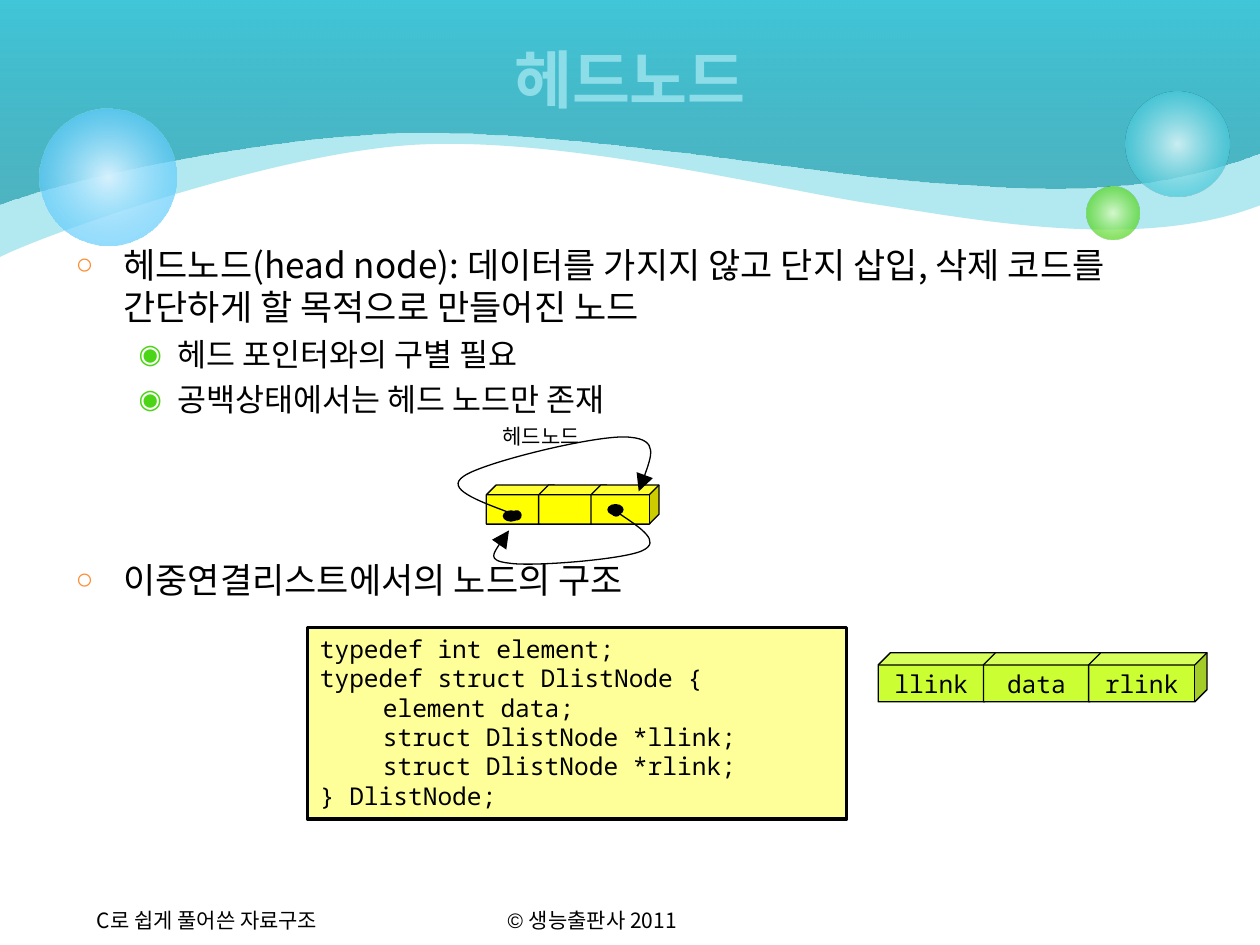
from dataclasses import dataclass

from lxml.etree import SubElement
from pptx import Presentation
from pptx.dml.color import RGBColor
from pptx.enum.shapes import MSO_SHAPE
from pptx.enum.text import MSO_ANCHOR, MSO_AUTO_SIZE, PP_ALIGN
from pptx.oxml.ns import qn
from pptx.util import Inches, Pt

# The slide is a grid of 1000 columns by 750 rows of square cells.
CELL = Inches(0.01)
COLUMNS, ROWS = 1000, 750
KOREAN, LATIN, MONO = "Noto Sans CJK KR", "Arial", "Noto Sans Mono"
BLACK, AQUA = "000000", "40C6D8"


@dataclass
class Box:
    left: float
    top: float
    width: float
    height: float

    def inner(self, left, top, width, height):
        return Box(self.left + left, self.top + top, width, height)

    def lengths(self):
        return [int(cells * CELL) for cells in (self.left, self.top, self.width, self.height)]


def color(hex_text):
    return RGBColor.from_string(hex_text)


def add_element(parent, tag, **attributes):
    child = SubElement(parent, qn(tag))
    for name, value in attributes.items():
        child.set(name, str(value))
    return child


def paint(shape, fill=None, line=None, width=0.75):
    shape.shadow.inherit = False
    if fill:
        shape.fill.solid()
        shape.fill.fore_color.rgb = color(fill)
    else:
        shape.fill.background()
    if line:
        shape.line.color.rgb = color(line)
        shape.line.width = Pt(width)
    else:
        shape.line.fill.background()


def paint_gradient(shape, stops, angle=None):
    """Fill with (position, colour, opacity) stops, radial when no angle is given."""
    paint(shape)
    properties = shape._element.spPr
    gradient = add_element(properties, "a:gradFill", rotWithShape=1)
    stop_list = add_element(gradient, "a:gsLst")
    for position, hex_text, opacity in stops:
        stop = add_element(stop_list, "a:gs", pos=position * 1000)
        add_element(add_element(stop, "a:srgbClr", val=hex_text), "a:alpha", val=opacity * 1000)
    if angle is None:
        center = add_element(gradient, "a:path", path="circle")
        add_element(center, "a:fillToRect", l=50000, t=50000, r=50000, b=50000)
    else:
        add_element(gradient, "a:lin", ang=angle * 60000, scaled=0)
    properties.replace(properties.find(qn("a:noFill")), gradient)


def add_run(paragraph, text, size, font=KOREAN, fill=BLACK, bold=False):
    run = paragraph.add_run()
    run.text = text
    run.font.size = Pt(size)
    run.font.bold = bold
    run.font.name = font
    run.font.color.rgb = color(fill)
    add_element(run.font._element, "a:ea", typeface=font)


def add_label(shapes, box, runs):
    frame = shapes.add_textbox(*box.lengths()).text_frame
    frame.word_wrap = False
    for text, font in runs:
        add_run(frame.paragraphs[0], text, 12, font)


def add_curve(shapes, box, start, curves, corners=()):
    """Draw cubic curves from start, then straight edges to any corners, which close the outline."""
    points = [point for curve in curves for point in curve]
    builder = shapes.build_freeform(*start, scale=CELL)
    builder.add_line_segments(points + list(corners), close=bool(corners))
    shape = builder.convert_to_shape(*box.lengths()[:2])
    edges = list(shape._element.iter(qn("a:lnTo")))
    for index in range(0, len(points), 3):
        first, second, third = edges[index:index + 3]
        first.tag = qn("a:cubicBezTo")
        for edge in (second, third):
            first.append(edge[0])
            edge.getparent().remove(edge)
    return shape


def add_backdrop(shapes, box):
    corners = [(box.width, 0), (0, 0)]
    back = add_curve(shapes, box, (0, 204), [
        [(33, 187), (214, 122), (328, 115)],
        [(443, 108), (606, 148), (687, 161)],
        [(768, 173), (902, 201), (1000, 163)]], corners)
    paint(back, AQUA)
    add_element(back._element.spPr.find(qn("a:solidFill"))[0], "a:alpha", val=40000)
    front = add_curve(shapes, box, (0, 162), [
        [(45, 144), (203, 108), (326, 105)],
        [(449, 102), (658, 139), (737, 144)],
        [(816, 149), (902, 159), (1000, 121)]], corners)
    paint_gradient(front, [(0, "249EAE", 69), (100, AQUA, 100)], 270)

    bubbles = [
        (893, 73, 83, [(0, "D9F4F7", 90), (76, AQUA, 70)]),
        (862, 148, 42, [(0, "DAFACD", 90), (76, "4CD416", 70)]),
        (31, 86, 109, [(0, "D6F2FE", 100), (100, "33BDFB", 54)])]
    for left, top, size, stops in bubbles:
        bubble = shapes.add_shape(MSO_SHAPE.OVAL, *box.inner(left, top, size, size).lengths())
        paint_gradient(bubble, stops)


def add_footer(shapes, box):
    add_label(shapes, box.inner(0, 0, 215, 30), [("C로 쉽게 풀어쓴 자료구조", KOREAN)])
    add_label(shapes, box.inner(326, 0, 173, 30), [("© ", LATIN), ("생능출판사 2011", KOREAN)])


def place_placeholder(slide, placeholder, box):
    """Set the placeholder's box and bring it in front of the backdrop."""
    placeholder.left, placeholder.top, placeholder.width, placeholder.height = box.lengths()
    slide.shapes._spTree.append(placeholder._element)
    placeholder.text_frame.auto_size = MSO_AUTO_SIZE.NONE
    return placeholder.text_frame


def fill_title(slide, box):
    frame = place_placeholder(slide, slide.shapes.title, box)
    frame.vertical_anchor = MSO_ANCHOR.MIDDLE
    frame.paragraphs[0].alignment = PP_ALIGN.CENTER
    add_run(frame.paragraphs[0], "헤드노드", 36, fill="8CDDE8", bold=True)


def fill_body(slide, box):
    frame = place_placeholder(slide, slide.placeholders[1], box)
    # size, line pitch, left margin, hanging indent, bullet, bullet colour
    styles = [(20, 24, 0.38, 0.38, "○", "FE8C2E"), (18, 22, 0.81, 0.31, "◉", "4CD416")]
    items = [
        (0, 0, "헤드노드(head node): 데이터를 가지지 않고 단지 삽입, 삭제 코드를 간단하게 할 목적으로 만들어진 노드"),
        (1, 4, "헤드 포인터와의 구별 필요"),
        (1, 4, "공백상태에서는 헤드 노드만 존재"),
        (0, 80, "이중연결리스트에서의 노드의 구조")]
    for index, (level, space, text) in enumerate(items):
        size, pitch, margin, hanging, bullet, bullet_color = styles[level]
        paragraph = frame.add_paragraph() if index else frame.paragraphs[0]
        paragraph.level = level
        paragraph.space_before = Pt(space)
        paragraph.line_spacing = Pt(pitch)
        properties = paragraph._p.get_or_add_pPr()
        properties.set("marL", str(Inches(margin)))
        properties.set("indent", str(-Inches(hanging)))
        add_element(add_element(properties, "a:buClr"), "a:srgbClr", val=bullet_color)
        add_element(properties, "a:buSzPct", val=85000)
        add_element(properties, "a:buChar", char=bullet)
        add_run(paragraph, text, size)


def add_node(shapes, box, step, fill, labels):
    """Draw one cube per label; neighbours overlap by their slanted sides."""
    for index, label in enumerate(labels):
        cell = box.inner(index * step, 0, box.width - 2 * step, box.height)
        cube = shapes.add_shape(MSO_SHAPE.CUBE, *cell.lengths())
        paint(cube, fill, BLACK)
        if label:
            cube.text_frame.vertical_anchor = MSO_ANCHOR.MIDDLE
            cube.text_frame.paragraphs[0].alignment = PP_ALIGN.CENTER
            add_run(cube.text_frame.paragraphs[0], label, 14, MONO)


def add_head_node(shapes, box):
    add_node(shapes, box.inner(33, 54, 137, 31), 41.5, "FFFF00", [""] * 3)
    for left, top in [(129, 69), (46, 74)]:
        dot = shapes.add_shape(MSO_SHAPE.OVAL, *box.inner(left, top, 13, 9).lengths())
        paint(dot, BLACK)
    add_label(shapes, box.inner(36, 0, 87, 30), [("헤드노드", MONO)])
    loops = [
        ((57, 78), [[(28, 67), (0, 57), (15, 47)],
                    [(30, 36), (124, 13), (147, 16)],
                    [(170, 18), (162, 38), (154, 59)]]),
        ((136, 75), [[(154, 87), (172, 99), (157, 106)],
                     [(143, 113), (69, 119), (51, 116)],
                     [(33, 114), (42, 102), (51, 90)]])]
    for start, curves in loops:
        loop = add_curve(shapes, box, start, curves)
        paint(loop, line=BLACK)
        line = loop.line._get_or_add_ln()
        add_element(line, "a:headEnd", type="oval")
        add_element(line, "a:tailEnd", type="triangle", w="lg", len="lg")


def add_code(shapes, box):
    panel = shapes.add_shape(MSO_SHAPE.RECTANGLE, *box.lengths())
    paint(panel, "FFFF99", BLACK, 2)
    frame = panel.text_frame
    frame.vertical_anchor = MSO_ANCHOR.TOP
    lines = ["typedef int element;", "typedef struct DlistNode {", "\telement data;",
             "\tstruct DlistNode *llink;", "\tstruct DlistNode *rlink;", "} DlistNode;"]
    for index, text in enumerate(lines):
        paragraph = frame.add_paragraph() if index else frame.paragraphs[0]
        paragraph.alignment = PP_ALIGN.JUSTIFY
        paragraph.line_spacing = Pt(16.8)
        add_run(paragraph, text, 14, MONO)


def main():
    presentation = Presentation()
    presentation.slide_width, presentation.slide_height = COLUMNS * CELL, ROWS * CELL
    slide = presentation.slides.add_slide(presentation.slide_layouts[1])
    shapes = slide.shapes
    add_backdrop(shapes, Box(0, 0, COLUMNS, 204))
    add_footer(shapes, Box(67, 715, 499, 30))
    fill_body(slide, Box(50, 188, 900, 495))
    fill_title(slide, Box(50, 0, 900, 125))
    add_head_node(shapes.add_group_shape().shapes, Box(353, 331, 171, 119))
    add_node(shapes.add_group_shape().shapes, Box(697, 518, 261, 39), 83.5, "CCFF33",
             ["llink", "data", "rlink"])
    add_code(shapes, Box(244, 498, 428, 152))
    presentation.save("out.pptx")


if __name__ == "__main__":
    main()
